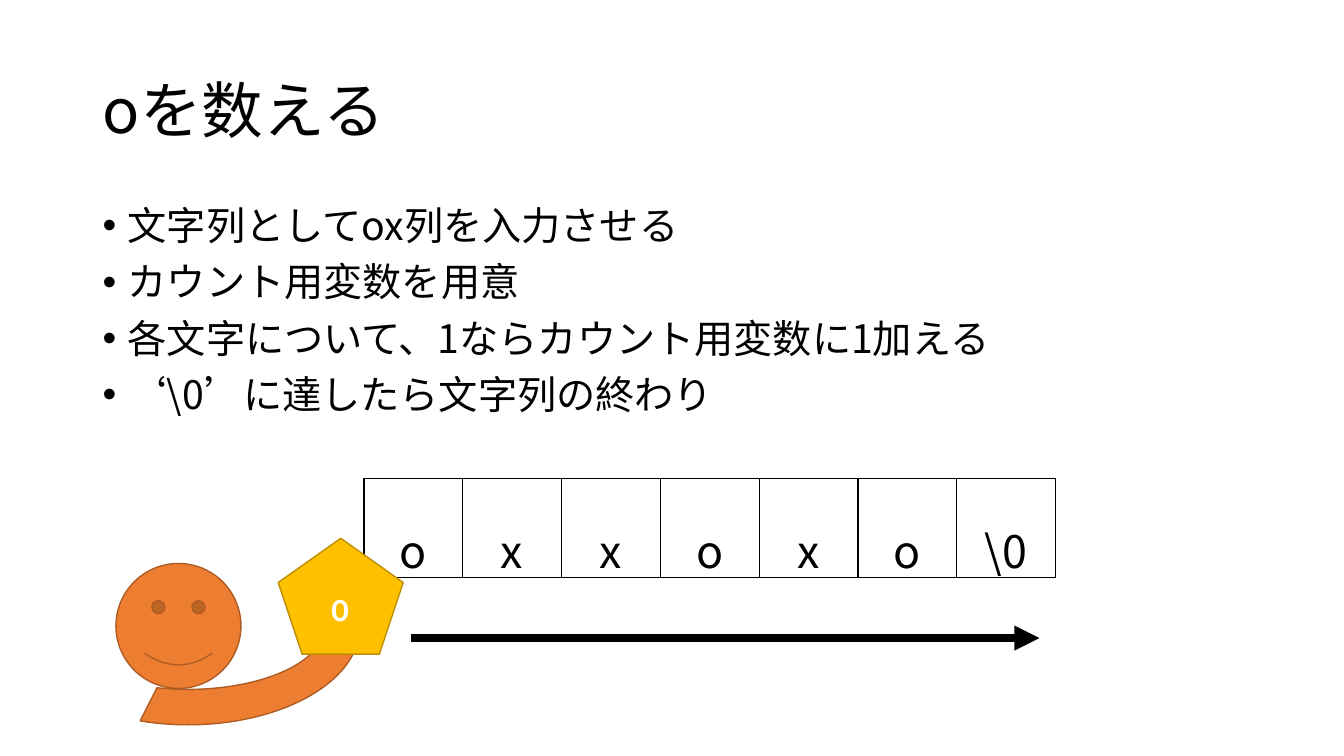
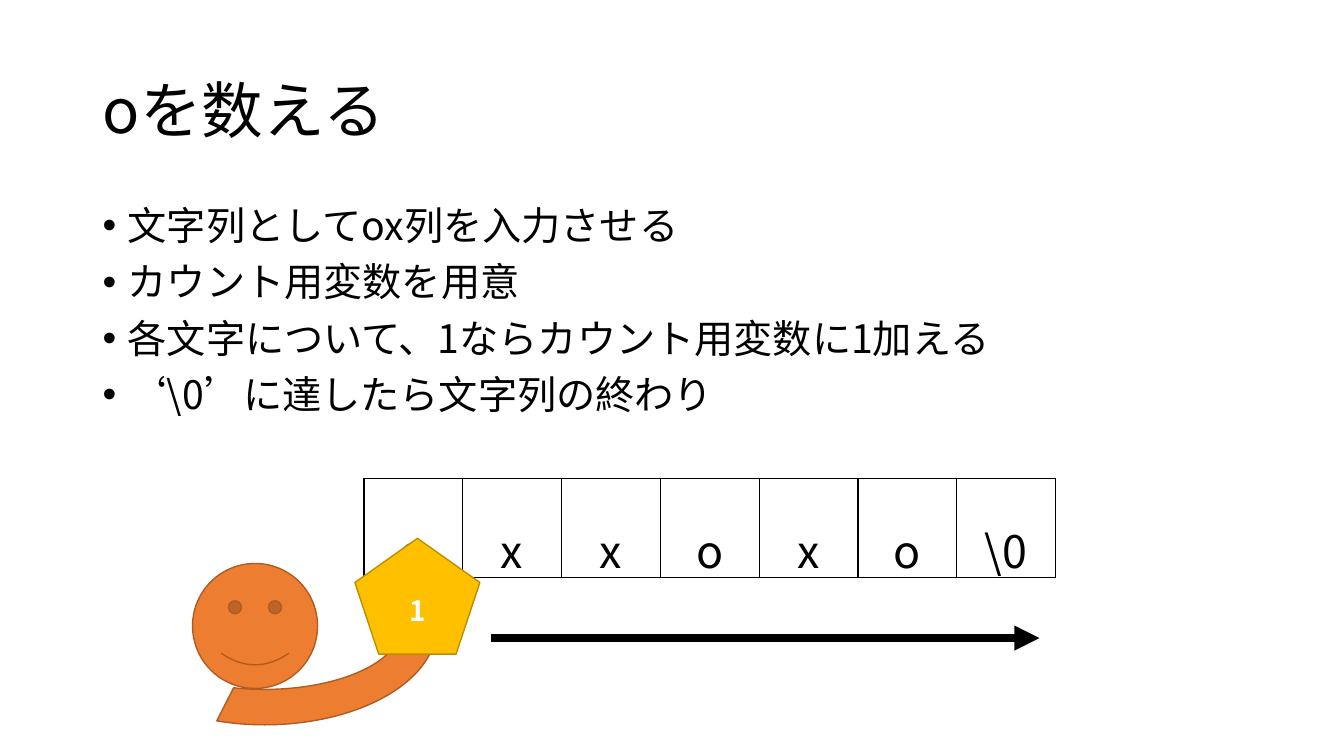
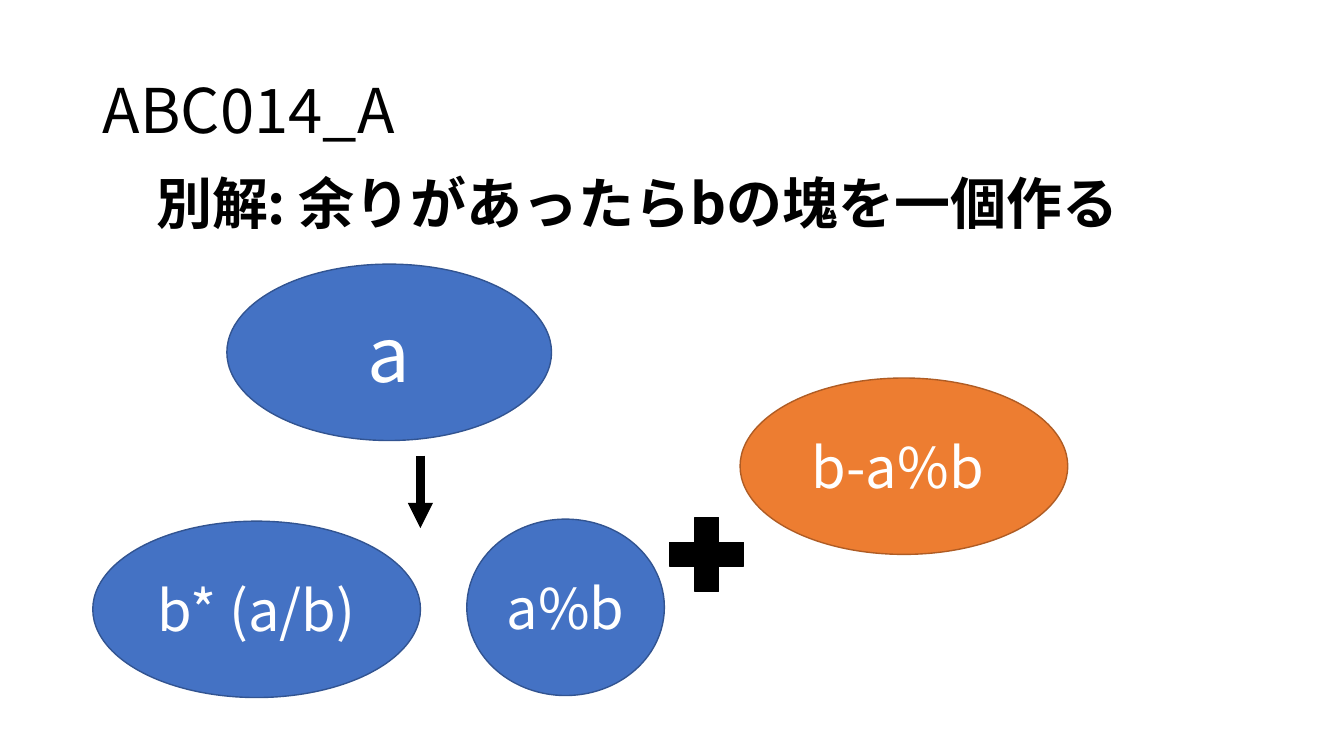
from lxml import etree
from pptx import Presentation
from pptx.dml.color import RGBColor
from pptx.enum.shapes import MSO_CONNECTOR, MSO_SHAPE
from pptx.enum.text import MSO_ANCHOR, MSO_AUTO_SIZE, PP_ALIGN
from pptx.oxml.ns import qn
from pptx.util import Inches, Pt

LEFT, CENTER = PP_ALIGN.LEFT, PP_ALIGN.CENTER
TOP, MIDDLE = MSO_ANCHOR.TOP, MSO_ANCHOR.MIDDLE
FIXED = MSO_AUTO_SIZE.NONE
STRAIGHT = MSO_CONNECTOR.STRAIGHT
OVAL, ARC, FACE = MSO_SHAPE.OVAL, MSO_SHAPE.BLOCK_ARC, MSO_SHAPE.SMILEY_FACE
PENTAGON, PLUS = MSO_SHAPE.REGULAR_PENTAGON, MSO_SHAPE.MATH_PLUS

# Shared style
FONT = "Noto Sans CJK JP"
BLACK, WHITE = "000000", "FFFFFF"
BLUE = ("4472C4", "325491")
ORANGE = ("ED7D31", "AF5C24")
GOLD = ("FFC000", "BD8E00")
INK = (BLACK, BLACK)
EDGE, WIDE = 0.92, 11.5

# Content of the counting slides
STEPS = [
    "文字列としてox列を入力させる",
    "カウント用変数を用意",
    "各文字について、1ならカウント用変数に1加える",
    "‘\\0’に達したら文字列の終わり",
]
CHARS = ["o", "x", "x", "o", "x", "o", "\\0"]
CELL = 0.98


def color(code):
    return RGBColor.from_string(code)


def box(*sizes):
    return [Inches(size) for size in sizes]


def add_node(parent, tag, **attrs):
    return etree.SubElement(parent, qn(tag), **attrs)


def add_bullet(para):
    props = para._p.get_or_add_pPr()
    props.set("marL", str(Inches(0.25)))
    props.set("indent", str(-Inches(0.25)))
    add_node(props, "a:buFont", typeface="Arial")
    add_node(props, "a:buChar", char="•")


def write(frame, text, size=28, ink=BLACK, bold=False, align=LEFT,
          anchor=TOP, line=1.0, gap=0, bullet=False):
    """Fill a text frame; text is one string or a list of paragraphs."""
    frame.word_wrap = True
    frame.vertical_anchor = anchor
    lines = [text] if isinstance(text, str) else text
    for i, words in enumerate(lines):
        para = frame.add_paragraph() if i else frame.paragraphs[0]
        if bullet:
            add_bullet(para)
        para.alignment = align
        para.line_spacing = line
        para.space_before = Pt(gap if i else 0)
        run = para.add_run()
        run.text = words
        font = run.font
        font.size, font.bold, font.name = Pt(size), bold, FONT
        font.color.rgb = color(ink)
        add_node(run._r.get_or_add_rPr(), "a:ea", typeface=FONT)


def add_slide(prs, title):
    slide = prs.slides.add_slide(prs.slide_layouts[5])
    head = slide.shapes.title
    head.left, head.top, head.width, head.height = box(EDGE, 0.4, WIDE, 1.45)
    head.text_frame.auto_size = FIXED
    write(head.text_frame, title, size=44, anchor=MIDDLE, line=0.9)
    return slide


def add_text(slide, at, text, **style):
    write(slide.shapes.add_textbox(*box(*at)).text_frame, text, **style)


def add_form(shapes, kind, at, paint, text="", **style):
    form = shapes.add_shape(kind, *box(*at))
    form.shadow.inherit = False
    fill, edge = paint
    form.fill.solid()
    form.fill.fore_color.rgb = color(fill)
    form.line.color.rgb = color(edge)
    form.line.width = Pt(1)
    if text:
        write(form.text_frame, text, ink=WHITE, align=CENTER,
              anchor=MIDDLE, **style)
    return form


def add_arrow(slide, *ends):
    arrow = slide.shapes.add_connector(STRAIGHT, *box(*ends))
    arrow.line.color.rgb = color(BLACK)
    arrow.line.width = Pt(6)
    add_node(arrow.line._get_or_add_ln(), "a:tailEnd", type="triangle")
    add_node(arrow._element.spPr, "a:effectLst")


def add_border(cell):
    props = cell._tc.get_or_add_tcPr()
    for side in "LRTB":
        edge = add_node(props, f"a:ln{side}", w=str(Pt(1)))
        fill = add_node(edge, "a:solidFill")
        add_node(fill, "a:srgbClr", val=BLACK)


def add_cells(slide, chars):
    at = box(3.61, 4.75, CELL * len(chars), CELL)
    table = slide.shapes.add_table(1, len(chars), *at).table
    table.first_row = table.horz_banding = False
    for i, char in enumerate(chars):
        cell = table.cell(0, i)
        add_border(cell)
        cell.fill.background()
        write(cell.text_frame, char, size=32, align=CENTER, line=1.5)


def add_counter(slide, left, count):
    """Draw the figure that holds up the current count."""
    shapes = slide.shapes.add_group_shape().shapes
    arm = add_form(shapes, ARC, (left, 5.24, 3.41, 1.95), ORANGE)
    arm.rotation = 180
    for i, value in enumerate((108, 178.14, 0.18)):
        arm.adjustments[i] = value
    add_form(shapes, FACE, (left + 0.99, 5.59, 1.24, 1.24), ORANGE)
    add_form(shapes, PENTAGON, (left + 2.6, 5.34, 1.24, 1.15), GOLD,
             count, size=20, bold=True)


def add_count(prs, left, count, start):
    slide = add_slide(prs, "oを数える")
    add_text(slide, (EDGE, 2, WIDE, 2.3), STEPS,
             line=0.9, gap=10, bullet=True)
    add_cells(slide, CHARS)
    add_counter(slide, left, count)
    add_arrow(slide, start, 6.33, 10.31, 6.33)


def add_split(prs):
    slide = add_slide(prs, "ABC014_A")
    add_text(slide, (1.45, 1.62, 11.14, 0.77),
             "別解: 余りがあったらbの塊を一個作る", size=40, bold=True)
    ovals = [
        (2.25, 2.62, 3.22, BLUE, "a", 54),
        (EDGE, 5.17, 3.25, BLUE, "b* (a/b)", 40),
        (4.63, 5.15, 1.96, BLUE, "a%b", 40),
        (7.34, 3.75, 3.25, ORANGE, "b-a%b ", 40),
    ]
    for left, top, width, paint, text, size in ovals:
        add_form(slide.shapes, OVAL, (left, top, width, 1.75), paint,
                 text, size=size)
    add_arrow(slide, 4.17, 4.52, 4.17, 5.24)
    add_form(slide.shapes, PLUS, (6.51, 5, 1, 1), INK)


def main():
    prs = Presentation()
    prs.slide_width, prs.slide_height = box(13.33, 7.5)
    add_count(prs, 0.16, "０", 4.08)
    add_count(prs, 0.92, "1", 4.87)
    add_split(prs)
    prs.save("out.pptx")


if __name__ == "__main__":
    main()
